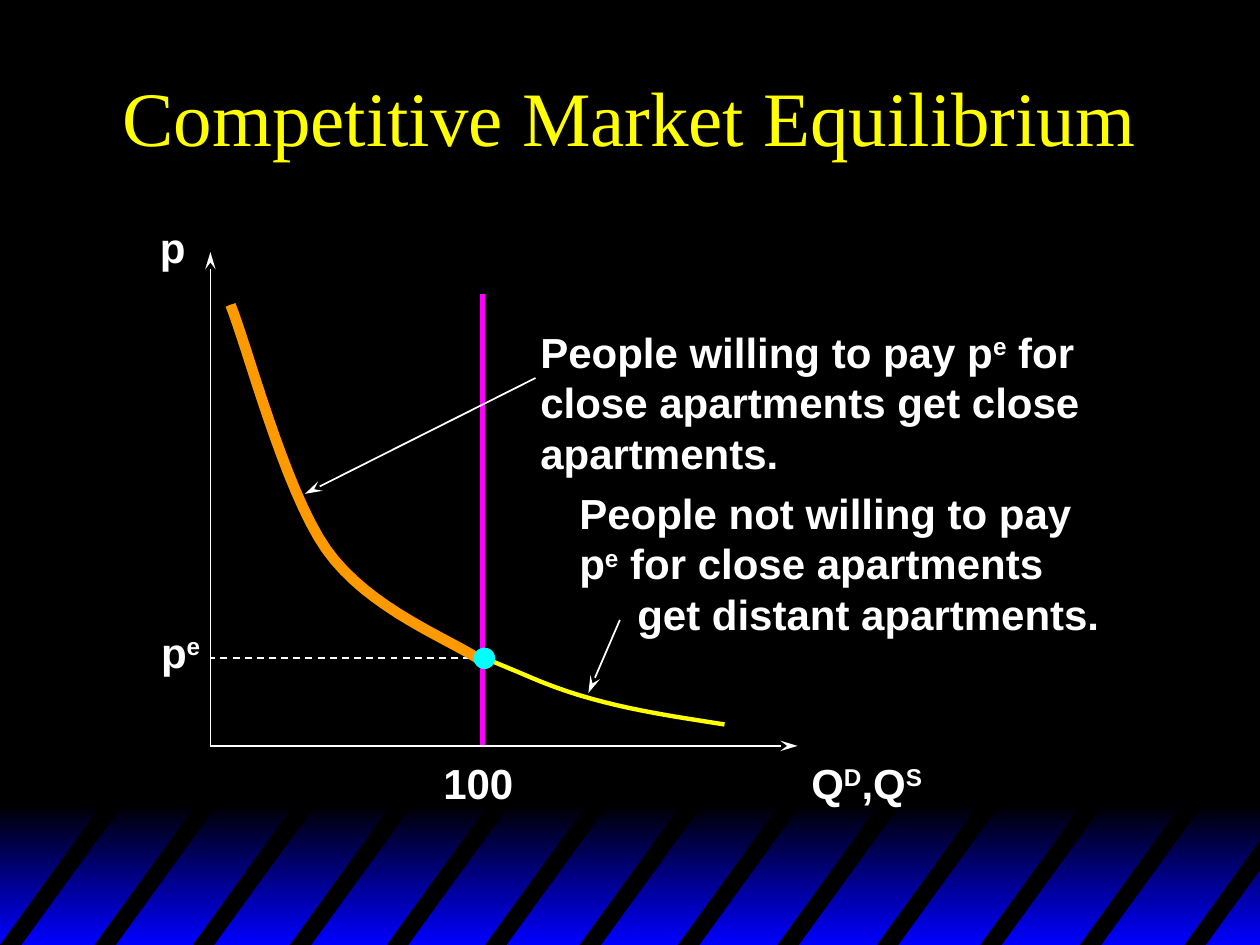
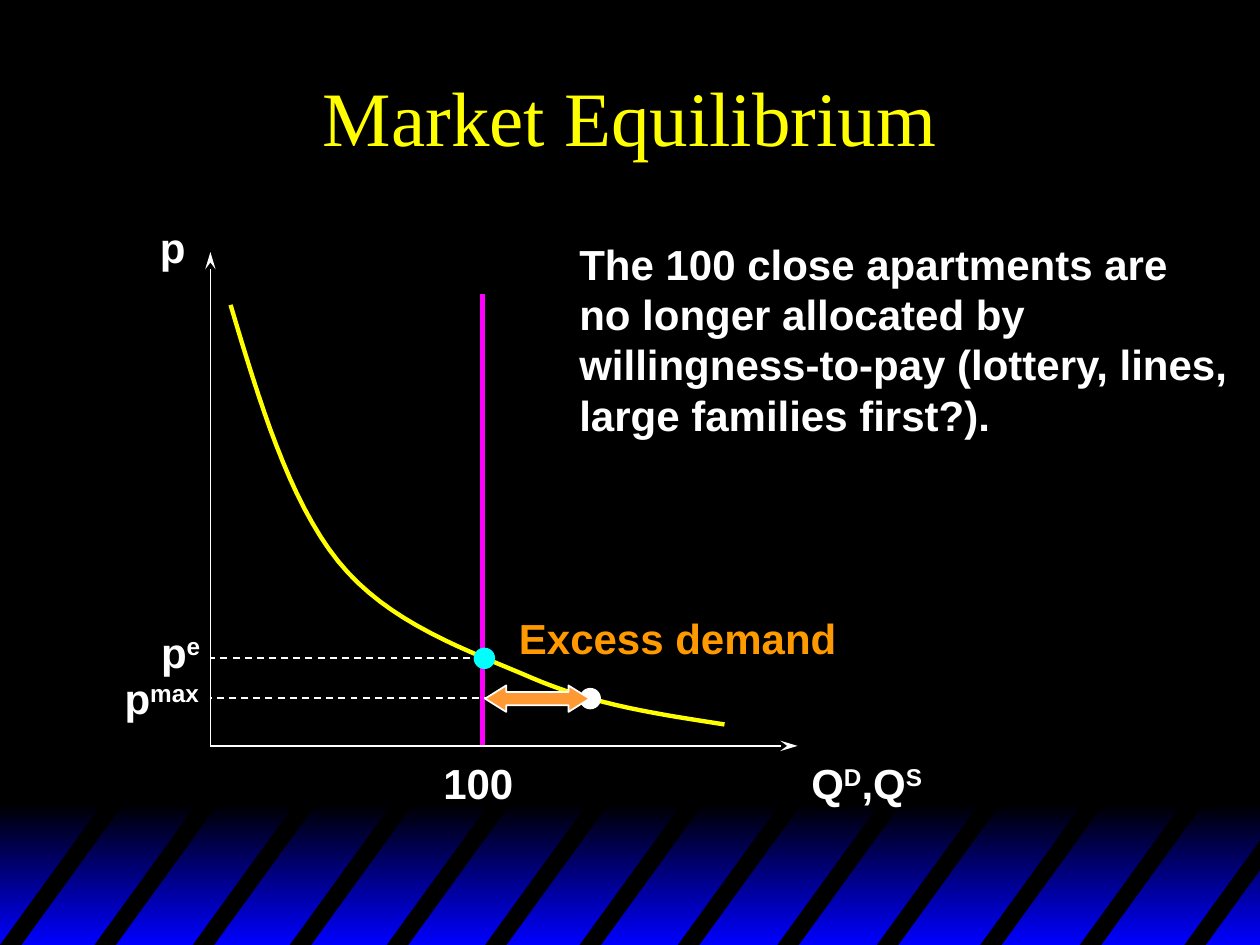
from dataclasses import dataclass
from itertools import pairwise

from lxml import etree
from pptx import Presentation
from pptx.dml.color import RGBColor
from pptx.enum.dml import MSO_LINE
from pptx.enum.shapes import MSO_CONNECTOR, MSO_SHAPE
from pptx.enum.text import MSO_ANCHOR, MSO_AUTO_SIZE, PP_ALIGN
from pptx.oxml.ns import qn
from pptx.presentation import Presentation as Deck
from pptx.shapes.autoshape import Shape
from pptx.slide import Slide
from pptx.util import Inches, Pt

BLACK = RGBColor(0x00, 0x00, 0x00)
WHITE = RGBColor(0xFF, 0xFF, 0xFF)
BLUE = RGBColor(0x00, 0x00, 0xFF)
YELLOW = RGBColor(0xFF, 0xFF, 0x00)
MAGENTA = RGBColor(0xFF, 0x00, 0xFF)
CYAN = RGBColor(0x00, 0xFF, 0xFF)
ORANGE = RGBColor(0xFF, 0x99, 0x00)
LIGHT_ORANGE = RGBColor(0xFF, 0x99, 0x33)

STRAIGHT = MSO_CONNECTOR.STRAIGHT
RECTANGLE, OVAL = MSO_SHAPE.RECTANGLE, MSO_SHAPE.OVAL
DOUBLE_ARROW = MSO_SHAPE.LEFT_RIGHT_ARROW
DASH = MSO_LINE.DASH
MIDDLE, CENTER = MSO_ANCHOR.MIDDLE, PP_ALIGN.CENTER
FIT_SHAPE = MSO_AUTO_SIZE.SHAPE_TO_FIT_TEXT

TITLE_FONT, LABEL_FONT = "Times New Roman", "Arial"
SLIDE_W, SLIDE_H = 10, 7.5
TITLE_ONLY = 5

BAND_TOP = 6.38
STRIPE_TOP, STRIPE_SLANT, STRIPE_W = 6.34, 0.84, 0.17
STRIPE_LEFTS = (0, 0.75, 1.53, 2.3, 3.07, 3.85, 4.6, 5.38, 6.17, 6.96, 7.78, 8.57, 9.4)

ORIGIN_X, ORIGIN_Y = 1.67, 5.92
SUPPLY_X = 3.83
PRICE_Y, MAX_PRICE_Y = 5.22, 5.54
DOT = 0.17
STEPS_PER_BEZIER = 16

Point = tuple[float, float]

# Each curve is a start point followed by three control points per Bezier segment.
DEMAND = ((1.83, 2.42), (2.06, 3.19), (2.29, 3.96), (2.68, 4.45), (3.08, 4.95), (3.71, 5.16),
          (4.22, 5.38), (4.73, 5.6), (5.24, 5.67), (5.75, 5.75))
WILLING_BUYERS = ((1.83, 2.42), (1.96, 2.74), (2.26, 3.89), (2.59, 4.36), (2.93, 4.84),
                  (3.57, 5.07), (3.83, 5.25))


@dataclass(frozen=True)
class Label:
    """Text box; text between carets is superscript, a leading tab indents a line."""
    left: float
    top: float
    width: float
    lines: tuple[str, ...]
    color: RGBColor = WHITE


@dataclass(frozen=True)
class Line:
    start: Point
    end: Point
    color: RGBColor = WHITE
    weight: float = 1
    dashed: bool = False
    arrow: bool = False


AXES = (
    Line((SUPPLY_X, ORIGIN_Y), (SUPPLY_X, 2.33), MAGENTA, 2.5),
    Line((ORIGIN_X, ORIGIN_Y), (ORIGIN_X, 2), arrow=True),
    Line((ORIGIN_X, ORIGIN_Y), (6.33, ORIGIN_Y), arrow=True),
    Line((SUPPLY_X, PRICE_Y), (ORIGIN_X, PRICE_Y), dashed=True),
)
AXIS_LABELS = (
    Label(1.17, 1.71, 0.4, ("p",)),
    Label(6.34, 5.96, 1.08, ("Q^D^,Q^S",)),
    Label(1.18, 4.92, 0.51, ("p^e",)),
    Label(3.42, 5.96, 0.8, ("100",)),
)


def paint(sp: Shape, color: RGBColor) -> None:
    sp.shadow.inherit = False
    sp.fill.solid()
    sp.fill.fore_color.rgb = color
    sp.line.fill.background()


def add_backdrop(prs: Deck, slide: Slide) -> None:
    """Build the striped band on a slide, then move it to the master."""
    group = slide.shapes.add_group_shape()
    band = group.shapes.add_shape(RECTANGLE, 0, Inches(BAND_TOP), Inches(SLIDE_W),
                                  Inches(SLIDE_H - BAND_TOP))
    paint(band, BLACK)
    band.fill.gradient()
    band.fill.gradient_angle = 270
    for stop, color in zip(band.fill.gradient_stops, (BLACK, BLUE)):
        stop.color.rgb = color

    def edge_top(x: float) -> Point:
        """Upper end of a stripe edge, cut off at the right side of the slide."""
        run = min(STRIPE_SLANT, SLIDE_W - x)
        return x + run, SLIDE_H - (SLIDE_H - STRIPE_TOP) * run / STRIPE_SLANT

    for left in STRIPE_LEFTS:
        right = left + STRIPE_W
        corners = [edge_top(left), edge_top(right), (right, SLIDE_H)]
        builder = group.shapes.build_freeform(Inches(left), Inches(SLIDE_H))
        builder.add_line_segments([(Inches(x), Inches(y)) for x, y in corners])
        paint(builder.convert_to_shape(), BLACK)

    master = prs.slide_master
    master.background.fill.solid()
    master.background.fill.fore_color.rgb = BLACK
    for number, props in enumerate(group.element.iter(qn("p:cNvPr")), 100):
        props.set("id", str(number))
    master.shapes.element.append(group.element)


def add_title(slide: Slide, text: str) -> None:
    title = slide.shapes.title
    title.left, title.top = Inches(0.75), Inches(0.25)
    title.width, title.height = Inches(8.5), Inches(1.33)
    tf = title.text_frame
    tf.text = text
    tf.vertical_anchor = MIDDLE
    p = tf.paragraphs[0]
    p.alignment = CENTER
    p.font.name, p.font.size = TITLE_FONT, Pt(44)
    p.font.color.rgb = YELLOW


def add_label(slide: Slide, label: Label) -> None:
    height = 0.1 + 0.4 * len(label.lines)
    box = slide.shapes.add_textbox(Inches(label.left), Inches(label.top),
                                   Inches(label.width), Inches(height))
    tf = box.text_frame
    tf.word_wrap = False
    tf.auto_size = FIT_SHAPE
    for i, line in enumerate(label.lines):
        p = tf.add_paragraph() if i else tf.paragraphs[0]
        p.font.name, p.font.size, p.font.bold = LABEL_FONT, Pt(24), True
        p.font.color.rgb = label.color
        if line.startswith("\t"):
            p._p.get_or_add_pPr().set("marL", str(Inches(0.46)))
        for j, part in enumerate(line.strip("\t").split("^")):
            if part:
                r = p.add_run()
                r.text = part
                if j % 2:
                    r._r.get_or_add_rPr().set("baseline", "30000")


def add_line(slide: Slide, line: Line) -> None:
    ends = [Inches(v) for v in (*line.start, *line.end)]
    cxn = slide.shapes.add_connector(STRAIGHT, *ends)
    cxn.line.color.rgb = line.color
    cxn.line.width = Pt(line.weight)
    if line.dashed:
        cxn.line.dash_style = DASH
    if line.arrow:
        etree.SubElement(cxn.line._get_or_add_ln(), qn("a:tailEnd"),
                         type="stealth", w="med", len="lg")
    etree.SubElement(cxn.element.spPr, qn("a:effectLst"))


def bezier(controls: tuple[Point, ...]) -> list[Point]:
    """Points along a chain of cubic Bezier segments."""
    points = [controls[0]]
    for first, last in pairwise(range(0, len(controls), 3)):
        segment = controls[first:last + 1]
        for step in range(1, STEPS_PER_BEZIER + 1):
            t = step / STEPS_PER_BEZIER
            weights = ((1 - t) ** 3, 3 * t * (1 - t) ** 2, 3 * t ** 2 * (1 - t), t ** 3)
            points.append((sum(w * x for w, (x, _) in zip(weights, segment)),
                           sum(w * y for w, (_, y) in zip(weights, segment))))
    return points


def add_curve(slide: Slide, controls: tuple[Point, ...], color: RGBColor, weight: float) -> None:
    start, *rest = [(Inches(x), Inches(y)) for x, y in bezier(controls)]
    builder = slide.shapes.build_freeform(*start)
    builder.add_line_segments(rest, close=False)
    sp = builder.convert_to_shape()
    sp.shadow.inherit = False
    sp.fill.background()
    sp.line.color.rgb = color
    sp.line.width = Pt(weight)


def add_dot(slide: Slide, left: float, top: float, color: RGBColor) -> None:
    paint(slide.shapes.add_shape(OVAL, Inches(left), Inches(top), Inches(DOT), Inches(DOT)), color)


def add_market_slide(prs: Deck, title: str) -> Slide:
    """Slide with the title, axes, supply line and demand curve."""
    slide = prs.slides.add_slide(prs.slide_layouts[TITLE_ONLY])
    add_title(slide, title)
    for line in AXES:
        add_line(slide, line)
    for label in AXIS_LABELS:
        add_label(slide, label)
    add_curve(slide, DEMAND, YELLOW, 2.5)
    return slide


def add_equilibrium_dot(slide: Slide) -> None:
    add_dot(slide, 3.76, 5.14, CYAN)


def add_competitive_slide(prs: Deck) -> Slide:
    slide = add_market_slide(prs, "Competitive Market Equilibrium")
    add_curve(slide, WILLING_BUYERS, ORANGE, 6)
    add_equilibrium_dot(slide)
    add_label(slide, Label(4.19, 2.54, 4.53, (
        "People willing to pay p^e^ for", "close apartments get close", "apartments.")))
    add_line(slide, Line((4.25, 3), (2.42, 3.92), arrow=True))
    add_label(slide, Label(4.5, 3.82, 4.33, (
        "People not willing to pay", "p^e^ for close apartments", "\tget distant apartments.")))
    add_line(slide, Line((4.92, 4.92), (4.67, 5.5), arrow=True))
    return slide


def add_excess_demand_slide(prs: Deck) -> None:
    slide = add_market_slide(prs, "Market Equilibrium")
    add_equilibrium_dot(slide)
    add_line(slide, Line((4.67, MAX_PRICE_Y), (ORIGIN_X, MAX_PRICE_Y), dashed=True))
    add_label(slide, Label(0.89, 5.29, 0.79, ("p^max",)))
    add_dot(slide, 4.6, 5.46, WHITE)
    arrow = slide.shapes.add_shape(DOUBLE_ARROW, Inches(3.85), Inches(5.44),
                                   Inches(0.83), Inches(0.21))
    paint(arrow, LIGHT_ORANGE)
    arrow.line.color.rgb = WHITE
    arrow.line.width = Pt(1)
    arrow.adjustments[0], arrow.adjustments[1] = 0.5, 0.8
    add_label(slide, Label(4.02, 4.81, 2.72, ("Excess demand",), ORANGE))
    add_label(slide, Label(4.5, 1.84, 5.36, (
        "The 100 close apartments are", "no longer allocated by",
        "willingness-to-pay (lottery, lines,", "large families first?).")))


def main() -> None:
    prs = Presentation()
    prs.slide_width, prs.slide_height = Inches(SLIDE_W), Inches(SLIDE_H)
    add_backdrop(prs, add_competitive_slide(prs))
    add_excess_demand_slide(prs)
    prs.save("out.pptx")


if __name__ == "__main__":
    main()
